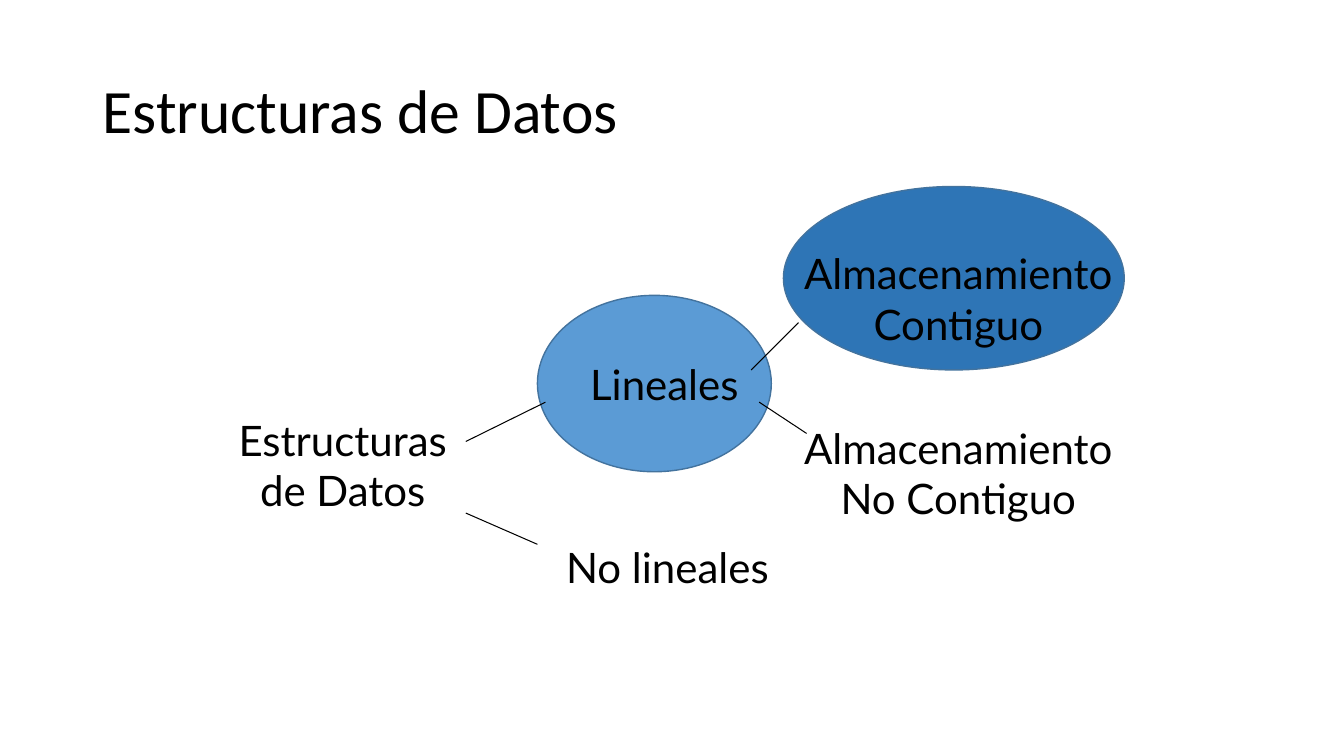
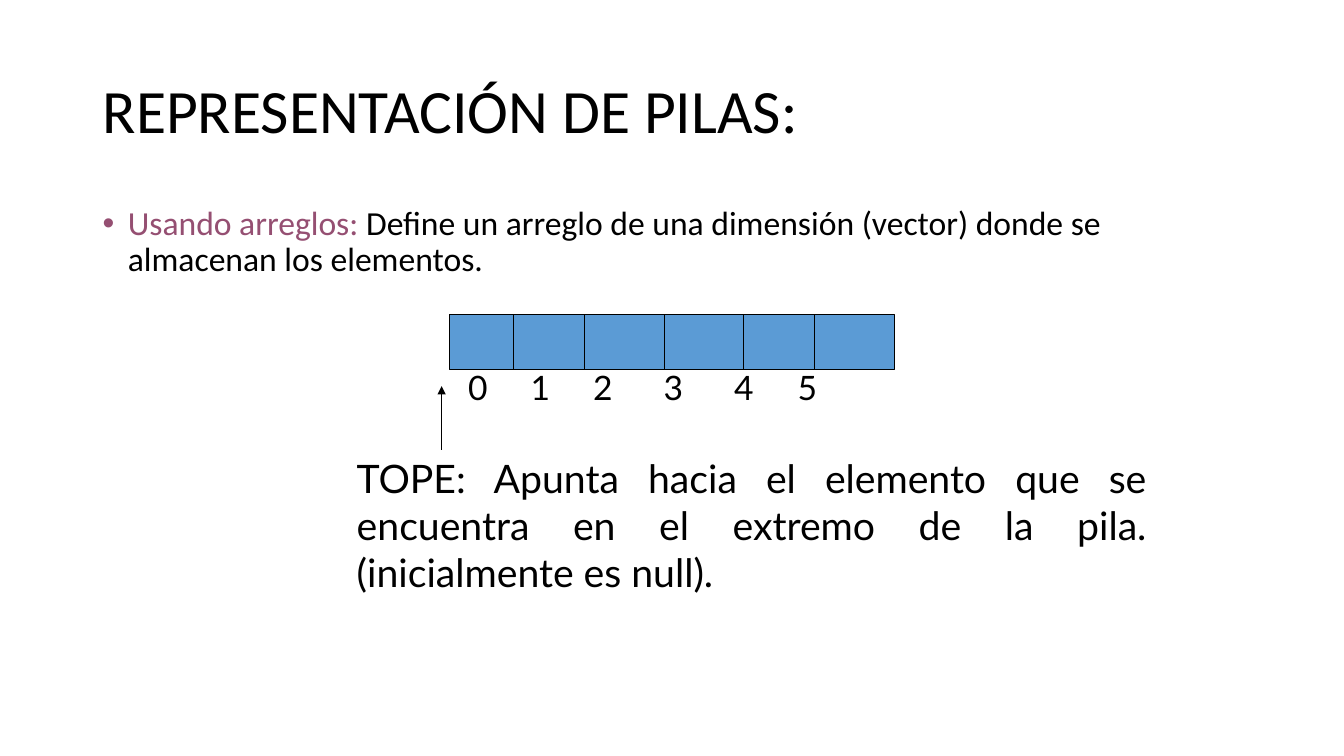
"""Build two slides on data structures and stacks."""
from lxml import etree
from pptx import Presentation
from pptx.dml.color import RGBColor
from pptx.enum import shapes, text
from pptx.oxml import ns
from pptx.util import Inches, Pt

BLACK = RGBColor(0x00, 0x00, 0x00)
BLUE = RGBColor(0x5B, 0x9B, 0xD5)
DARK_BLUE = RGBColor(0x2E, 0x75, 0xB6)
OUTLINE = RGBColor(0x43, 0x73, 0x9E)
PLUM = RGBColor(0x95, 0x4F, 0x72)
HEADING_FONT = "Calibri"
LABEL_FONT = "Lato"
ALIGN = text.PP_ALIGN
SHAPE = shapes.MSO_SHAPE


def add_text(s, box, runs, size, font=LABEL_FONT, align=ALIGN.LEFT, spacing=None):
    tf = s.shapes.add_textbox(*map(Inches, box)).text_frame
    tf.word_wrap = True
    p = tf.paragraphs[0]
    p.alignment = align
    p.line_spacing = spacing
    p.font.size = Pt(size)
    p.font.name = font
    for words, color in runs:
        r = p.add_run()
        r.text = words
        r.font.color.rgb = color
    return tf


def add_title(s, words):
    tf = add_text(s, (0.92, 0.4, 11.5, 1.45), [(words, BLACK)], 44, HEADING_FONT, spacing=0.9)
    tf.vertical_anchor = text.MSO_ANCHOR.MIDDLE


def add_label(s, box, words):
    add_text(s, box, [(words, BLACK)], 30, align=ALIGN.CENTER)


def add_bullet(s, box, runs):
    tf = add_text(s, box, runs, 24, HEADING_FONT, spacing=0.9)
    pPr = tf.paragraphs[0]._p.get_or_add_pPr()
    pPr.set("marL", str(Inches(0.25)))
    pPr.set("indent", str(Inches(-0.25)))
    bullet_font = etree.Element(ns.qn("a:buFont"), typeface="Arial")
    bullet = etree.Element(ns.qn("a:buChar"), char="•")
    pPr.find(ns.qn("a:lnSpc")).addnext(bullet_font)
    bullet_font.addnext(bullet)


def add_tabbed(s, box, words, stops):
    tf = add_text(s, box, [("".join("\t" + word for word in words), BLACK)], 24)
    pPr = tf.paragraphs[0]._p.get_or_add_pPr()
    tabs = etree.Element(ns.qn("a:tabLst"))
    for stop in stops:
        etree.SubElement(tabs, ns.qn("a:tab"), pos=str(Inches(stop)), algn="ctr")
    pPr.find(ns.qn("a:defRPr")).addprevious(tabs)


def add_filled(s, kind, box, fill, line, width):
    sp = s.shapes.add_shape(kind, *map(Inches, box))
    sp.shadow.inherit = False
    sp.fill.solid()
    sp.fill.fore_color.rgb = fill
    sp.line.color.rgb = line
    sp.line.width = Pt(width)


def add_line(s, start, end, arrow=False):
    line = s.shapes.add_connector(shapes.MSO_CONNECTOR.STRAIGHT, *map(Inches, start + end))
    line.line.color.rgb = BLACK
    line.line.width = Pt(0.75)
    if arrow:
        etree.SubElement(line.line._get_or_add_ln(), ns.qn("a:tailEnd"), type="triangle")
    etree.SubElement(line._element.spPr, ns.qn("a:effectLst"))


def build_structures(s):
    add_filled(s, SHAPE.OVAL, (7.77, 1.85, 3.38, 1.82), DARK_BLUE, OUTLINE, 1)
    add_filled(s, SHAPE.OVAL, (5.33, 2.93, 2.32, 1.75), BLUE, OUTLINE, 1)
    add_title(s, "Estructuras de Datos")
    for box, words in (
        ((2.26, 4.06, 2.28, 1.1), "Estructuras de Datos"),
        ((5.41, 3.51, 2.36, 0.6), "Lineales"),
        ((5.48, 5.32, 2.28, 0.6), "No lineales"),
        ((7.85, 2.41, 3.31, 1.1), "Almacenamiento Contiguo"),
        ((7.85, 4.14, 3.31, 1.1), "Almacenamiento No Contiguo"),
    ):
        add_label(s, box, words)
    for start, end in (
        ((4.62, 4.38), (5.41, 3.99)),
        ((4.62, 5.09), (5.33, 5.4)),
        ((7.45, 3.67), (7.92, 3.2)),
        ((7.53, 3.99), (8, 4.3)),
    ):
        add_line(s, start, end)


def build_stack(s):
    add_title(s, "REPRESENTACIÓN DE PILAS:")
    add_bullet(s, (0.92, 2, 11.5, 4.76), [
        ("Usando arreglos:", PLUM),
        (" Define un arreglo de una dimensión (vector) donde se almacenan los elementos.", BLACK),
    ])
    left, top, width, height = 4.46, 3.12, 4.41, 0.55
    add_filled(s, SHAPE.RECTANGLE, (left, top, width, height), BLUE, BLACK, 0.75)
    for x in (5.09, 5.8, 6.59, 7.37, 8.08):
        add_line(s, (x, top), (x, top + height))
    add_tabbed(s, (left, 3.59, width, 0.51), "012345", (0.18, 0.8, 1.42, 2.12, 2.82, 3.45))
    add_line(s, (4.38, 4.46), (4.38, 3.83), arrow=True)
    tope = ("TOPE: Apunta hacia el elemento que se encuentra en el extremo de la pila. "
            "(inicialmente es null).")
    add_text(s, (3.44, 4.46, 8.03, 1.5), [(tope, BLACK)], 28, align=ALIGN.JUSTIFY)


def main():
    prs = Presentation()
    prs.slide_width = Inches(13.33)
    prs.slide_height = Inches(7.5)
    for build in (build_structures, build_stack):
        build(prs.slides.add_slide(prs.slide_layouts[6]))
    prs.save("out.pptx")


if __name__ == "__main__":
    main()
